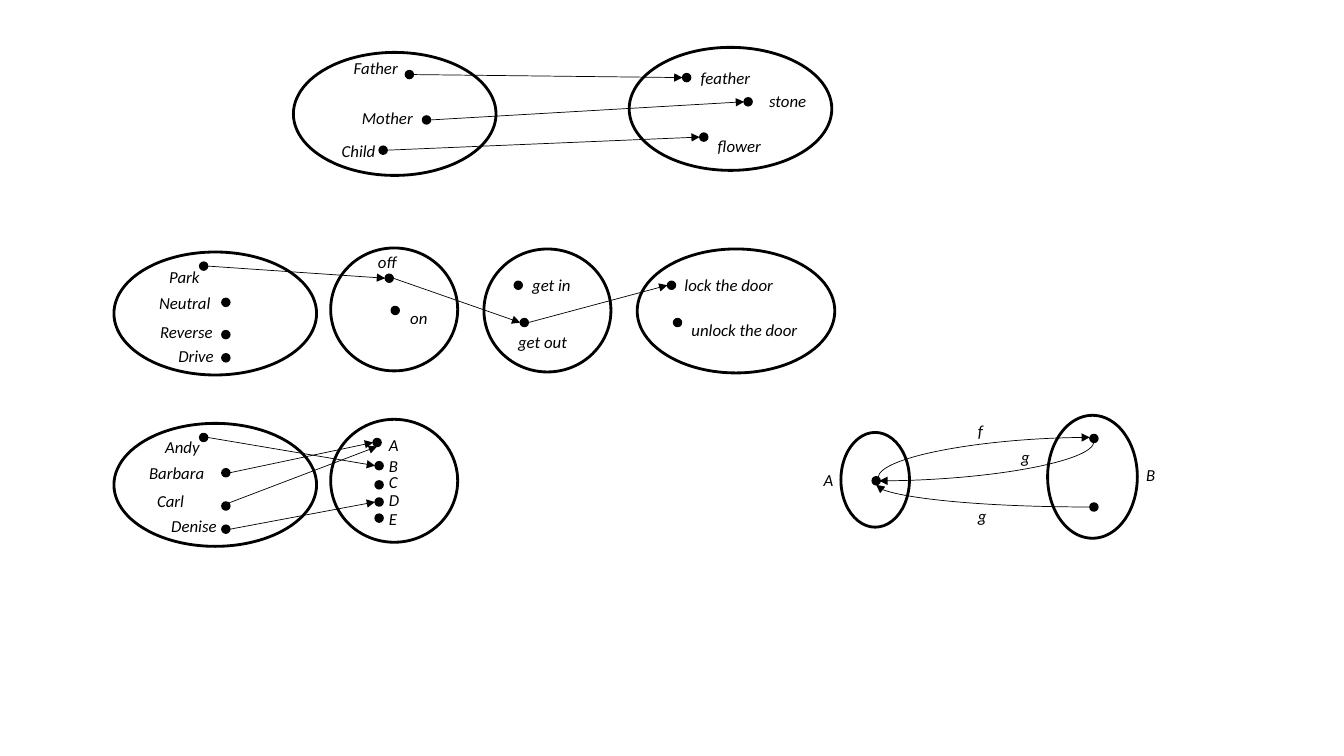
import pptx
import pptx.util
import pptx.dml.color
import pptx.enum.shapes
import pptx.enum.text
from lxml import etree
from pptx.oxml.ns import qn

THEME = {
    "ink": pptx.dml.color.RGBColor(0, 0, 0),
    "paper": pptx.dml.color.RGBColor(255, 255, 255),
    "font": "Calibri",
    "label_size": pptx.util.Pt(12),
    "set_line": pptx.util.Pt(2),
    "dot_line": pptx.util.Pt(1),
    "arrow_line": pptx.util.Pt(0.5),
}

presentation = pptx.Presentation()
presentation.slide_width = pptx.util.Inches(13.33)
presentation.slide_height = pptx.util.Inches(7.5)
slide = presentation.slides.add_slide(presentation.slide_layouts[6])

# Grid of 1333 columns by 750 rows; every coordinate below counts its cells
COLUMN = presentation.slide_width / 1333
ROW = presentation.slide_height / 750
DOT = 8
LABEL_HEIGHT = 30
RIGHT_SIDE = (DOT, DOT / 2)
LEFT_SIDE = (0, DOT / 2)
BOTTOM_SIDE = (DOT / 2, DOT)
UPPER_RIGHT = (DOT - 1, 1)


def add_ellipse(left, top, width, height, fill, line_width):
    shape = slide.shapes.add_shape(
        pptx.enum.shapes.MSO_SHAPE.OVAL,
        round(left * COLUMN), round(top * ROW),
        round(width * COLUMN), round(height * ROW))
    shape.shadow.inherit = False
    shape.fill.solid()
    shape.fill.fore_color.rgb = fill
    shape.line.color.rgb = THEME["ink"]
    shape.line.width = line_width


def add_arrow(kind, begin, end):
    connector = slide.shapes.add_connector(
        kind, round(begin[0] * COLUMN), round(begin[1] * ROW),
        round(end[0] * COLUMN), round(end[1] * ROW))
    connector.line.color.rgb = THEME["ink"]
    connector.line.width = THEME["arrow_line"]
    properties = connector._element.spPr
    etree.SubElement(properties.find(qn("a:ln")), qn("a:tailEnd"), type="triangle")
    etree.SubElement(properties, qn("a:effectLst"))
    return connector


# Sets: left, top, width, height. Dots: left, top.
# Labels: text, left, top, width. Arrows: from dot, to dot, optional sides.
diagrams = [
    {   # Family to objects
        "sets": [(291, 52, 201, 122), (624, 47, 201, 122)],
        "dots": {"Father": (402, 70), "Mother": (419, 115), "Child": (376, 145),
                 "feather": (677, 73), "stone": (738, 97), "flower": (694, 132)},
        "labels": [("Father", 341, 52, 66), ("Mother", 349, 102, 72),
                   ("Child", 329, 135, 102), ("feather", 685, 62, 102),
                   ("stone", 753, 85, 102), ("flower", 702, 130, 102)],
        "arrows": [("Father", "feather"), ("Mother", "stone"), ("Child", "flower")],
    },
    {   # Gear to door lock
        "sets": [(113, 250, 201, 122), (328, 246, 126, 122),
                 (480, 247, 126, 122), (632, 247, 196, 123)],
        "dots": {"Park": (198, 260), "Neutral": (220, 296), "Reverse": (220, 328),
                 "Drive": (220, 351), "off": (382, 272), "on": (388, 304),
                 "get in": (510, 279), "get out": (516, 316),
                 "lock": (662, 279), "unlock": (668, 316)},
        "labels": [("Park", 158, 260, 66), ("Neutral", 148, 286, 72),
                   ("Reverse", 149, 314, 102), ("Drive", 167, 338, 102),
                   ("off", 365, 245, 102), ("on", 397, 300, 102),
                   ("get in", 518, 268, 102), ("get out", 504, 324, 102),
                   ("lock the door", 669, 268, 138),
                   ("unlock the door", 676, 312, 126)],
        "arrows": [("Park", "off"), ("off", "get out"), ("get out", "lock")],
    },
    {   # Students to grades
        "sets": [(113, 420, 201, 122), (328, 416, 126, 122)],
        "dots": {"Andy": (198, 430), "Barbara": (220, 465), "Carl": (220, 498),
                 "Denise": (220, 521), "A": (370, 435), "B": (372, 458),
                 "C": (372, 477), "D": (372, 494), "E": (372, 510)},
        "labels": [("Andy", 154, 428, 66), ("Barbara", 138, 454, 79),
                   ("Carl", 146, 482, 102), ("Denise", 160, 507, 102),
                   ("A", 376, 426, 34), ("B", 376, 447, 34), ("C", 376, 463, 34),
                   ("D", 376, 481, 34), ("E", 376, 500, 34)],
        "arrows": [("Andy", "B"), ("Barbara", "A"),
                   ("Carl", "A", UPPER_RIGHT, BOTTOM_SIDE), ("Denise", "D")],
    },
    {   # f and g between A and B
        "sets": [(834, 429, 68, 94), (1039, 412, 89, 122)],
        "dots": {"in A": (865, 473), "lower in B": (1081, 499),
                 "upper in B": (1081, 431)},
        "labels": [("A", 807, 461, 29), ("B", 1127, 456, 34), ("f", 960, 412, 29),
                   ("g", 1003, 438, 29), ("g", 960, 497, 29)],
        "arrows": [],
    },
]

for diagram in diagrams:
    # Sets and their elements
    for outline in diagram["sets"]:
        add_ellipse(*outline, THEME["paper"], THEME["set_line"])
    for left, top in diagram["dots"].values():
        add_ellipse(left, top, DOT, DOT, THEME["ink"], THEME["dot_line"])

    # Labels
    for text, left, top, width in diagram["labels"]:
        label = slide.shapes.add_textbox(
            round(left * COLUMN), round(top * ROW),
            round(width * COLUMN), round(LABEL_HEIGHT * ROW))
        label.text_frame.word_wrap = True
        label.text_frame.auto_size = pptx.enum.text.MSO_AUTO_SIZE.SHAPE_TO_FIT_TEXT
        label.text_frame.text = text
        font = label.text_frame.paragraphs[0].runs[0].font
        font.name = THEME["font"]
        font.size = THEME["label_size"]
        font.italic = True
        font.color.rgb = THEME["ink"]

    # Straight arrows between dots
    for source, target, *sides in diagram["arrows"]:
        begin_side, end_side = sides or (RIGHT_SIDE, LEFT_SIDE)
        begin_dot, end_dot = diagram["dots"][source], diagram["dots"][target]
        add_arrow(pptx.enum.shapes.MSO_CONNECTOR.STRAIGHT,
                  (begin_dot[0] + begin_side[0], begin_dot[1] + begin_side[1]),
                  (end_dot[0] + end_side[0], end_dot[1] + end_side[1]))

# Curved arrows: begin, end, whether the curve leaves its dot vertically
curves = [
    ((871, 474), (1081, 434), True),
    ((1081, 503), (869, 481), False),
    ((1085, 438), (872, 477), True),
]
for begin, end, leaves_vertically in curves:
    if leaves_vertically:
        # Lay the curve out a quarter turn back around its centre
        center_x, center_y = (begin[0] + end[0]) / 2, (begin[1] + end[1]) / 2
        offset_x, offset_y = begin[0] - center_x, begin[1] - center_y
        begin = (center_x + offset_y, center_y - offset_x)
        end = (center_x - offset_y, center_y + offset_x)
    connector = add_arrow(pptx.enum.shapes.MSO_CONNECTOR.CURVE, begin, end)
    properties = connector._element.spPr
    properties.find(qn("a:prstGeom")).set("prst", "curvedConnector2")
    if leaves_vertically:
        properties.find(qn("a:xfrm")).set("rot", str(90 * 60000))

presentation.save("out.pptx")
